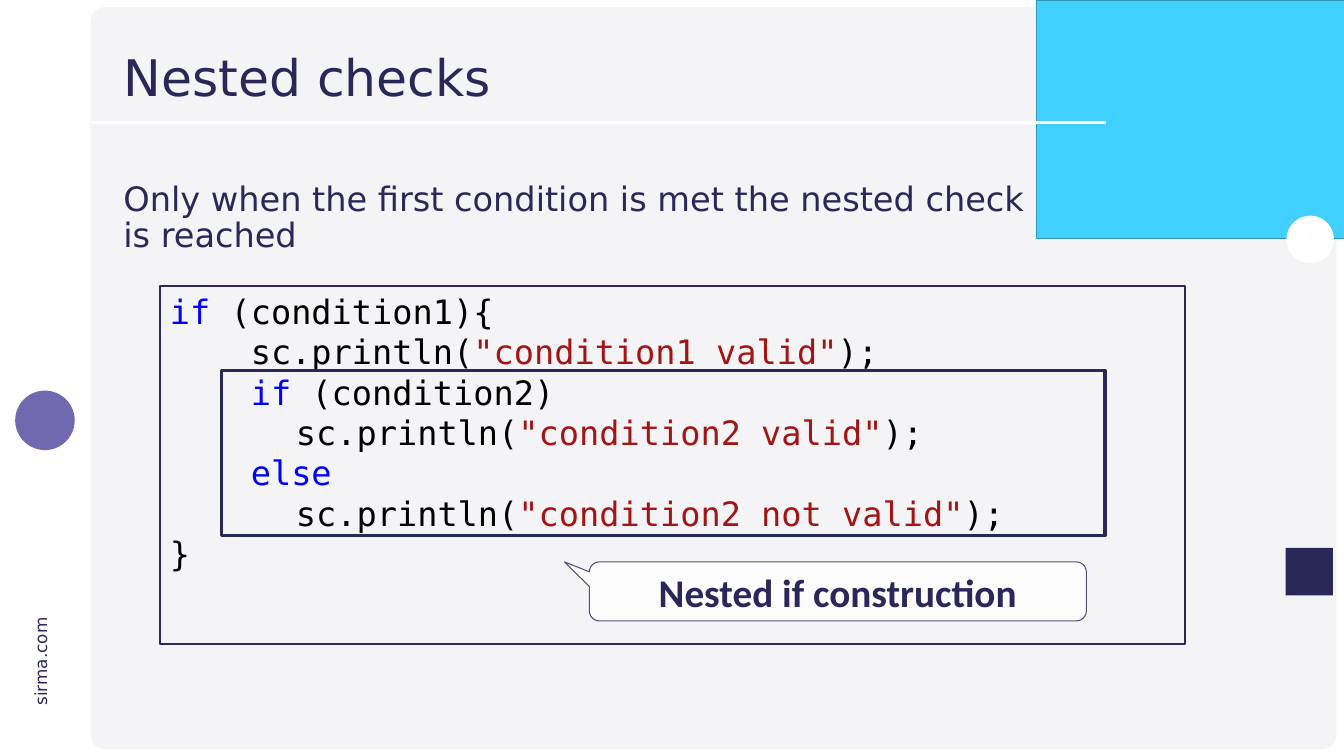
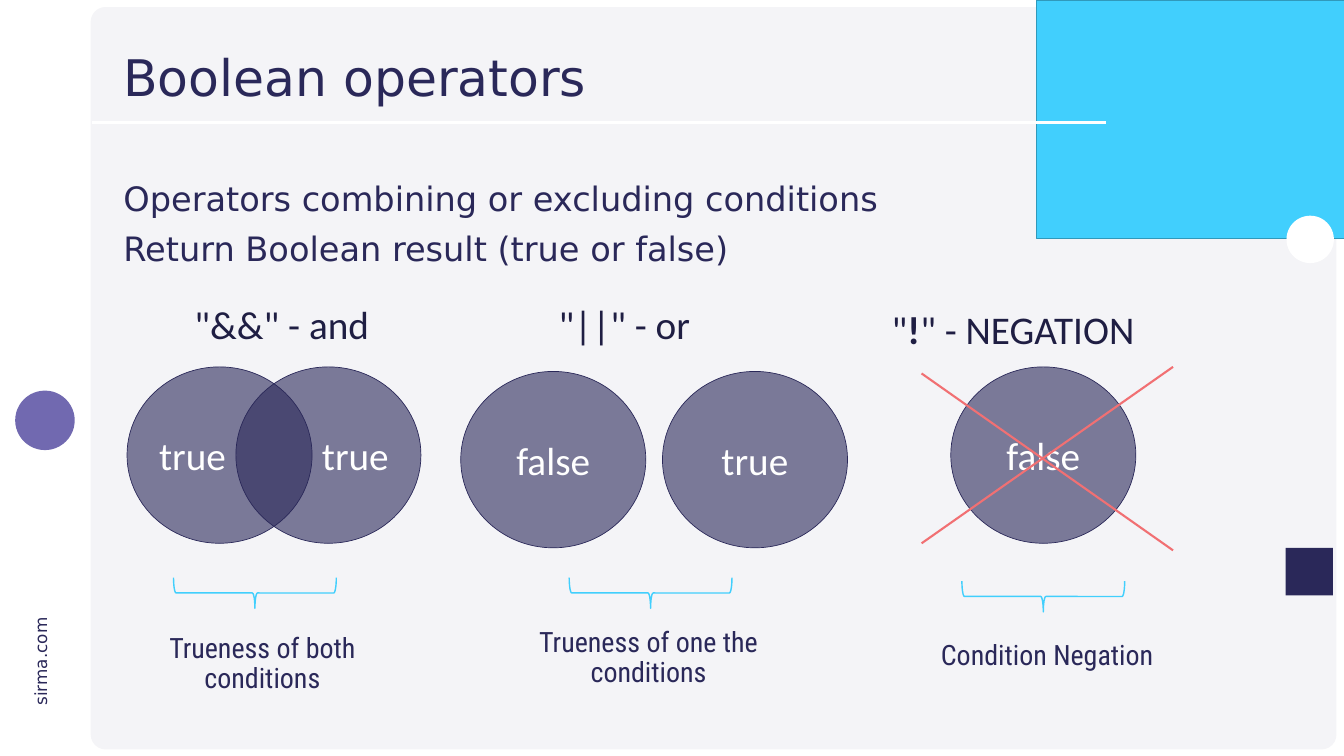
from dataclasses import dataclass

from pptx import Presentation
from pptx.dml.color import RGBColor
from pptx.enum.shapes import MSO_CONNECTOR, MSO_SHAPE as Preset
from pptx.enum.text import MSO_ANCHOR as Anchor, MSO_AUTO_SIZE as AutoSize, PP_ALIGN as Align
from pptx.oxml.ns import qn
from pptx.util import Inches, Pt
from lxml.etree import SubElement


@dataclass(frozen=True)
class Theme:
    navy: str = "2A2859"
    ink: str = "1F1E43"
    panel: str = "F4F4F7"
    sky: str = "41CFFD"
    sky_edge: str = "3099BB"
    violet: str = "7169B0"
    coral: str = "F17073"
    white: str = "FFFFFF"
    black: str = "000000"
    keyword: str = "0000FF"
    literal: str = "A31515"
    sans: str = "DejaVu Sans"
    mono: str = "DejaVu Sans Mono"
    label: str = "Calibri"
    narrow: str = "Roboto Condensed"
    title_size: int = 72
    label_size: int = 56
    body_size: int = 48
    caption_size: int = 40
    address_size: int = 24


theme = Theme()
deck = Presentation()
deck.slide_width, deck.slide_height = Inches(26.66), Inches(15)
COL, ROW = deck.slide_width / 100, deck.slide_height / 100


def place(slide, preset, x, y, w, h, fill=None, edge=None, weight=1, opacity=None, edge_opacity=None):
    area = [round(v) for v in (x * COL, y * ROW, w * COL, h * ROW)]
    if preset is None:
        return slide.shapes.add_textbox(*area)
    part = slide.shapes.add_shape(preset, *area)
    part.shadow.inherit = False
    for paint, color, share in ((part.fill, fill, opacity), (part.line.fill, edge, edge_opacity)):
        if color is None:
            paint.background()
            continue
        paint.solid()
        paint.fore_color.rgb = RGBColor.from_string(color)
        if share:
            tint = paint._xPr.find(qn("a:solidFill"))[0]
            SubElement(tint, qn("a:alpha")).set("val", str(share * 1000))
    if edge:
        part.line.width = Pt(weight)
    return part


def write(part, paragraphs, size, font, color, bold=False, align=Align.LEFT, anchor=Anchor.TOP,
          leading=None, before=0, inset=0.1, wrap=True, tabs=()):
    frame = part.text_frame
    frame.word_wrap = wrap
    frame.auto_size = AutoSize.NONE if wrap else AutoSize.SHAPE_TO_FIT_TEXT
    frame.vertical_anchor = anchor
    frame.margin_left = frame.margin_right = Inches(inset)
    frame.margin_top = frame.margin_bottom = Inches(inset / 2)
    for number, runs in enumerate(paragraphs):
        paragraph = frame.add_paragraph() if number else frame.paragraphs[0]
        paragraph.alignment = align
        if leading:
            paragraph.line_spacing = leading
        if number and before:
            paragraph.space_before = Pt(before)
        if tabs:
            stops = SubElement(paragraph._p.get_or_add_pPr(), qn("a:tabLst"))
            for stop in tabs:
                SubElement(stops, qn("a:tab"), pos=str(Inches(stop)), algn="l")
        for text, own in [(runs, {})] if isinstance(runs, str) else runs:
            for row, piece in enumerate(text.split("\n")):
                if row:
                    paragraph.add_line_break()
                run = paragraph.add_run()
                run.text = piece
                run.font.size, run.font.name = Pt(size), font
                run.font.bold = own.get("bold", bold)
                run.font.color.rgb = RGBColor.from_string(own.get("color", color))


topics = [
    ("Nested checks", ["Only when the first condition is met the nested check\nis reached"]),
    ("Boolean operators", ["Operators combining or excluding conditions",
                           "Return Boolean result (true or false)"]),
]
slides, strokes = [], []
for heading, statements in topics:
    slide = deck.slides.add_slide(deck.slide_layouts[6])
    slides.append(slide)
    backdrop = place(slide, Preset.ROUNDED_RECTANGLE, 6.75, 0.93, 92.69, 98.2, theme.panel)
    backdrop.adjustments[0] = 0.02
    address = place(slide, None, -0.68, 85.73, 7.39, 3.33)
    address.rotation = 270
    write(address, ["sirma.com"], theme.address_size, theme.sans, theme.navy, wrap=False)
    place(slide, Preset.RECTANGLE, 77.12, 0, 22.88, 31.53, theme.sky, theme.sky_edge)
    place(slide, Preset.RECTANGLE, 6.86, 3.53, 68.79, 15.87, theme.panel)
    place(slide, Preset.RECTANGLE, 95.65, 72.47, 3.53, 6.27, theme.navy)
    place(slide, Preset.OVAL, 1.13, 51.67, 4.43, 7.87, theme.violet)
    place(slide, Preset.OVAL, 95.72, 28.53, 3.53, 6.27, theme.white)
    strokes.append((slide, 6.86, 16.2, 82.26, 16.2, theme.white))
    write(place(slide, None, 8.81, 23.8, 86.23, 68.8), statements,
          theme.body_size, theme.sans, theme.navy, leading=0.9, before=20)
    write(place(slide, None, 8.81, 5.33, 73.41, 10.53), [heading],
          theme.title_size, theme.sans, theme.navy, leading=0.9, anchor=Anchor.MIDDLE)

nested, operators = slides

keyword, literal = {"color": theme.keyword}, {"color": theme.literal}
listing = [
    [("if", keyword), (" (condition1){", {})],
    [("    sc.println(", {}), ('"condition1 valid"', literal), (");", {})],
    [("    ", {}), ("if", keyword), (" (condition2)", {})],
    [("\t\t\t\t\tsc.println(", {}), ('"condition2 valid"', literal), (");", {})],
    [("    ", {}), ("else", keyword)],
    [("\t\t\t\t\tsc.println(", {}), ('"condition2 not valid"', literal), (");", {})],
    "}",
]
code = place(nested, Preset.RECTANGLE, 11.89, 37.8, 76.26, 47.4, edge=theme.navy, weight=2.25)
write(code, listing, theme.body_size, theme.mono, theme.black, inset=0.2,
      tabs=[0.5 * stop for stop in range(1, 6)])
place(nested, Preset.RECTANGLE, 16.5, 49, 65.72, 21.87, edge=theme.navy, weight=4.5)
remark = place(nested, Preset.ROUNDED_RECTANGULAR_CALLOUT, 43.85, 74.33, 36.98, 7.8,
               theme.white, theme.navy, 1.5, opacity=80, edge_opacity=80)
for index, value in enumerate((-0.55, -0.5, 0.17)):
    remark.adjustments[index] = value
write(remark, ["Nested if construction"], theme.label_size, theme.label, theme.navy, bold=True,
      align=Align.CENTER, anchor=Anchor.MIDDLE, inset=0.2)

conditions = [
    ("true", 9.45, 48.53, Align.LEFT),
    ("true", 17.55, 48.53, Align.RIGHT),
    ("false", 34.28, 49.13, Align.CENTER),
    ("true", 49.29, 49.13, Align.CENTER),
    ("false", 70.74, 48.53, Align.CENTER),
]
for value, x, y, align in conditions:
    circle = place(operators, Preset.OVAL, x, y, 13.77, 23.33, theme.navy, theme.navy, opacity=60)
    write(circle, [value], theme.label_size, theme.label, theme.white,
          align=align, anchor=Anchor.MIDDLE)

meanings = [
    ('"&&" - and', (14.1, 39.33, 13.88, 6.93), (17.82, 67.67),
     "Trueness of both\nconditions", (6.23, 83.27, 26.59, 11.87)),
    ('"||" - or', (41.19, 39.33, 10.65, 6.93), (47.26, 67.67),
     "Trueness of one the conditions", (34.96, 82.47, 26.59, 11.33)),
    ([('"', {}), ("!", {"bold": True}), ('" - NEGATION', {})], (65.98, 40, 18.98, 6.93),
     (76.48, 68.13), "Condition Negation", (67.07, 84.2, 21.68, 7)),
]
for symbol, symbol_area, brace_corner, meaning, meaning_area in meanings:
    write(place(operators, None, *symbol_area), [symbol],
          theme.label_size, theme.label, theme.ink, wrap=False)
    brace = place(operators, Preset.RIGHT_BRACE, *brace_corner, 2.29, 21.53, edge=theme.sky, weight=2)
    brace.rotation = 90
    write(place(operators, None, *meaning_area), [meaning], theme.caption_size, theme.narrow,
          theme.navy, align=Align.CENTER, leading=0.9, inset=0.2)

strokes += [
    (operators, 87.28, 48.53, 68.57, 71.87, theme.coral),
    (operators, 87.28, 72.8, 68.57, 49.4, theme.coral),
]
for slide, x1, y1, x2, y2, color in strokes:
    stroke = slide.shapes.add_connector(
        MSO_CONNECTOR.STRAIGHT, round(x1 * COL), round(y1 * ROW), round(x2 * COL), round(y2 * ROW))
    stroke.line.color.rgb = RGBColor.from_string(color)
    stroke.line.width = Pt(3)
    SubElement(stroke._element.spPr, qn("a:effectLst"))

deck.save("out.pptx")
